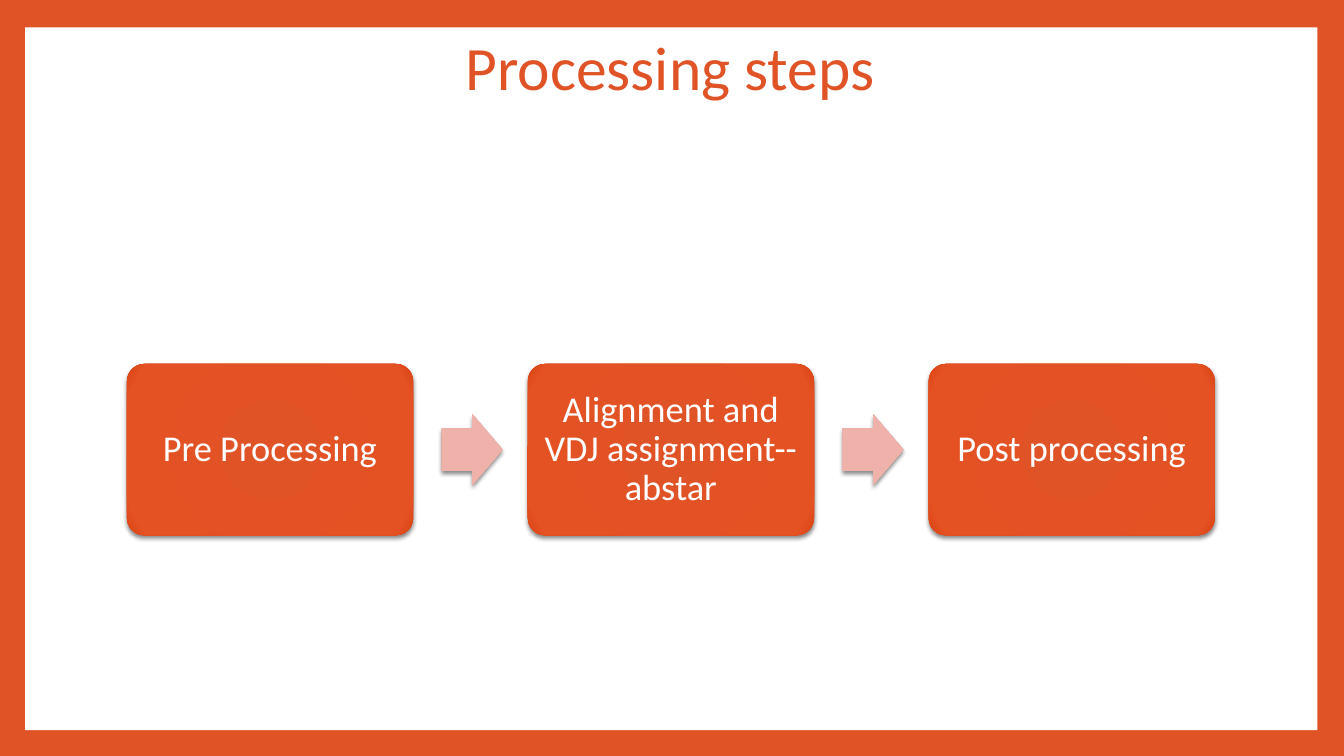
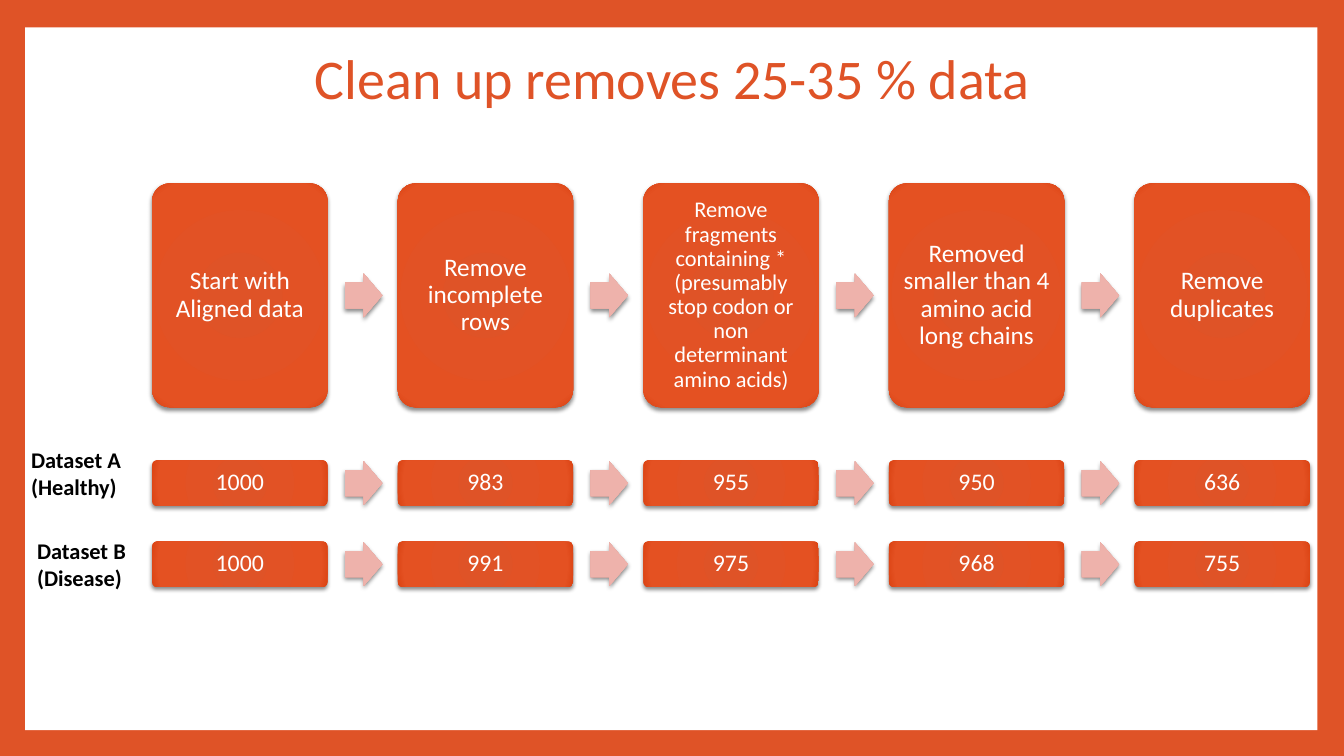
from dataclasses import dataclass
from typing import NamedTuple

from pptx import Presentation
from pptx.dml.color import RGBColor
from pptx.enum.shapes import MSO_SHAPE as Preset
from pptx.enum.text import MSO_ANCHOR as Anchor, PP_ALIGN as Align
from pptx.oxml import parse_xml
from pptx.oxml.ns import nsdecls, qn
from pptx.shapes.autoshape import Shape
from pptx.slide import Slide
from pptx.text.text import TextFrame
from pptx.util import Pt

FONT = "Calibri"
ORANGE = RGBColor(0xDF, 0x53, 0x27)
WHITE = RGBColor(0xFF, 0xFF, 0xFF)
BLACK = RGBColor(0x00, 0x00, 0x00)
BOX_GRADIENT = (ORANGE, RGBColor(0xE4, 0x51, 0x22), RGBColor(0xDB, 0x43, 0x13))
ARROW_GRADIENT = (
    RGBColor(0xEC, 0xB3, 0xAD),
    RGBColor(0xEE, 0xB2, 0xAB),
    RGBColor(0xDC, 0x9E, 0x97),
)
GRADIENT_STOPS = (0, 90, 100)

# Flow proportions, as shares of the box width
PITCH = 1.4
ARROW_OFFSET = 0.1
ARROW_WIDTH = 0.212
ARROW_HEIGHT = 0.248


class Area(NamedTuple):
    """A rectangle in points."""

    left: float
    top: float
    width: float
    height: float

    def lengths(self) -> tuple[Pt, ...]:
        return tuple(Pt(value) for value in self)


class Step(NamedTuple):
    text: str
    size: float


@dataclass(frozen=True)
class Flow:
    """A row of boxes joined by block arrows."""

    steps: list[Step]
    first: Area
    inset: float


@dataclass(frozen=True)
class RowLabel:
    text: str
    area: Area


PANEL = Area(18, 19.5, 923, 502)

PROCESS = Flow(
    [Step(text, 26) for text in (
        "Pre Processing",
        "Alignment and VDJ assignment-- abstar",
        "Post processing",
    )],
    Area(90.7, 260, 204.5, 122.4),
    inset=7.9,
)

CLEANUP = Flow(
    [
        Step("Start with Aligned data", 18),
        Step("Remove incomplete rows", 18),
        Step("Remove fragments containing * (presumably stop codon or "
             "non determinant amino acids)", 16),
        Step("Removed smaller than 4 amino acid long chains", 18),
        Step("Remove duplicates", 18),
    ],
    Area(108.7, 131, 125.3, 160),
    inset=5,
)


def count_flow(counts: tuple[int, ...], top: float) -> Flow:
    steps = [Step(str(count), 17) for count in counts]
    return Flow(steps, Area(108.7, top, 125.3, 32.4), inset=5)


COUNTS = [
    count_flow((1000, 983, 955, 950, 636), 328.9),
    count_flow((1000, 991, 975, 968, 755), 386.8),
]

ROW_LABELS = [
    RowLabel("Dataset A\n(Healthy)", Area(15.1, 315.4, 97.2, 46)),
    RowLabel("Dataset B\n(Disease)", Area(19.4, 380.2, 92.9, 46)),
]


def write(
    frame: TextFrame,
    text: str,
    *,
    size: float,
    color: RGBColor,
    bold: bool = False,
    align: Align = Align.CENTER,
    anchor: Anchor = Anchor.MIDDLE,
    line_spacing: float = 0.9,
    inset: float | None = None,
) -> None:
    """Write one paragraph per line of text; inset applies to all four sides."""
    frame.word_wrap = True
    frame.vertical_anchor = anchor
    if inset is not None:
        frame.margin_left = frame.margin_right = Pt(inset)
        frame.margin_top = frame.margin_bottom = Pt(inset)
    for index, line in enumerate(text.split("\n")):
        para = frame.add_paragraph() if index else frame.paragraphs[0]
        para.alignment = align
        para.line_spacing = line_spacing
        span = para.add_run()
        span.text = line
        span.font.name = FONT
        span.font.size = Pt(size)
        span.font.bold = bold
        span.font.color.rgb = color


def add_plain_shape(page: Slide, preset: Preset, area: Area) -> Shape:
    """Add a shape without outline or shadow."""
    shape = page.shapes.add_shape(preset, *area.lengths())
    shape.shadow.inherit = False
    shape.line.fill.background()
    return shape


def add_glossy_shape(
    page: Slide, preset: Preset, area: Area, colors: tuple[RGBColor, ...]
) -> Shape:
    """Add a shape with a radial gradient and a soft shadow below."""
    shape = add_plain_shape(page, preset, area)
    stops = "".join(
        f'<a:gs pos="{stop * 1000}"><a:srgbClr val="{color}"/></a:gs>'
        for stop, color in zip(GRADIENT_STOPS, colors)
    )
    gradient = parse_xml(
        f'<a:gradFill {nsdecls("a")} rotWithShape="1"><a:gsLst>{stops}</a:gsLst>'
        '<a:path path="circle"><a:fillToRect l="100000" t="100000" '
        'r="100000" b="100000"/></a:path></a:gradFill>'
    )
    shadow = parse_xml(
        f'<a:outerShdw {nsdecls("a")} blurRad="{Pt(3)}" dist="{Pt(2)}" '
        'dir="5400000" rotWithShape="0"><a:srgbClr val="000000">'
        '<a:alpha val="45000"/></a:srgbClr></a:outerShdw>'
    )
    properties = shape.element.spPr
    properties.find(qn("a:ln")).addprevious(gradient)
    properties.find(qn("a:effectLst")).append(shadow)
    return shape


def add_flow(page: Slide, flow: Flow) -> None:
    left, top, width, height = flow.first
    arrow_height = ARROW_HEIGHT * width
    arrow_top = top + (height - arrow_height) / 2
    for index, step in enumerate(flow.steps):
        box_left = left + index * PITCH * width
        if index:
            arrow_left = box_left + (1 + ARROW_OFFSET - PITCH) * width
            arrow_area = Area(arrow_left, arrow_top, ARROW_WIDTH * width, arrow_height)
            arrow = add_glossy_shape(page, Preset.RIGHT_ARROW, arrow_area, ARROW_GRADIENT)
            arrow.adjustments[0] = 0.6
            arrow.adjustments[1] = 0.5
        box_area = Area(box_left, top, width, height)
        box = add_glossy_shape(page, Preset.ROUNDED_RECTANGLE, box_area, BOX_GRADIENT)
        box.adjustments[0] = 0.1
        write(box.text_frame, step.text, size=step.size, color=WHITE, inset=flow.inset)


def add_row_label(page: Slide, label: RowLabel) -> None:
    box = page.shapes.add_textbox(*label.area.lengths())
    write(box.text_frame, label.text, size=16, color=BLACK, bold=True,
          align=Align.LEFT, anchor=Anchor.TOP, line_spacing=1.0)


def add_page(deck: Presentation, title: str, area: Area, size: float) -> Slide:
    """Add a slide with the white panel and its title."""
    page = deck.slides.add_slide(deck.slide_layouts[6])
    panel = add_plain_shape(page, Preset.RECTANGLE, PANEL)
    panel.fill.solid()
    panel.fill.fore_color.rgb = WHITE
    box = page.shapes.add_textbox(*area.lengths())
    write(box.text_frame, title, size=size, color=ORANGE)
    return page


def main() -> None:
    deck = Presentation()
    deck.slide_width, deck.slide_height = Pt(960), Pt(540)
    background = deck.slide_master.background.fill
    background.solid()
    background.fore_color.rgb = ORANGE

    page = add_page(deck, "Processing steps", Area(90, 21.6, 777.6, 56.9), 44)
    add_flow(page, PROCESS)

    page = add_page(deck, "Clean up removes 25-35 % data", Area(91.4, 5, 777.6, 106.6), 40)
    for flow in [CLEANUP, *COUNTS]:
        add_flow(page, flow)
    for label in ROW_LABELS:
        add_row_label(page, label)

    deck.save("out.pptx")


if __name__ == "__main__":
    main()
